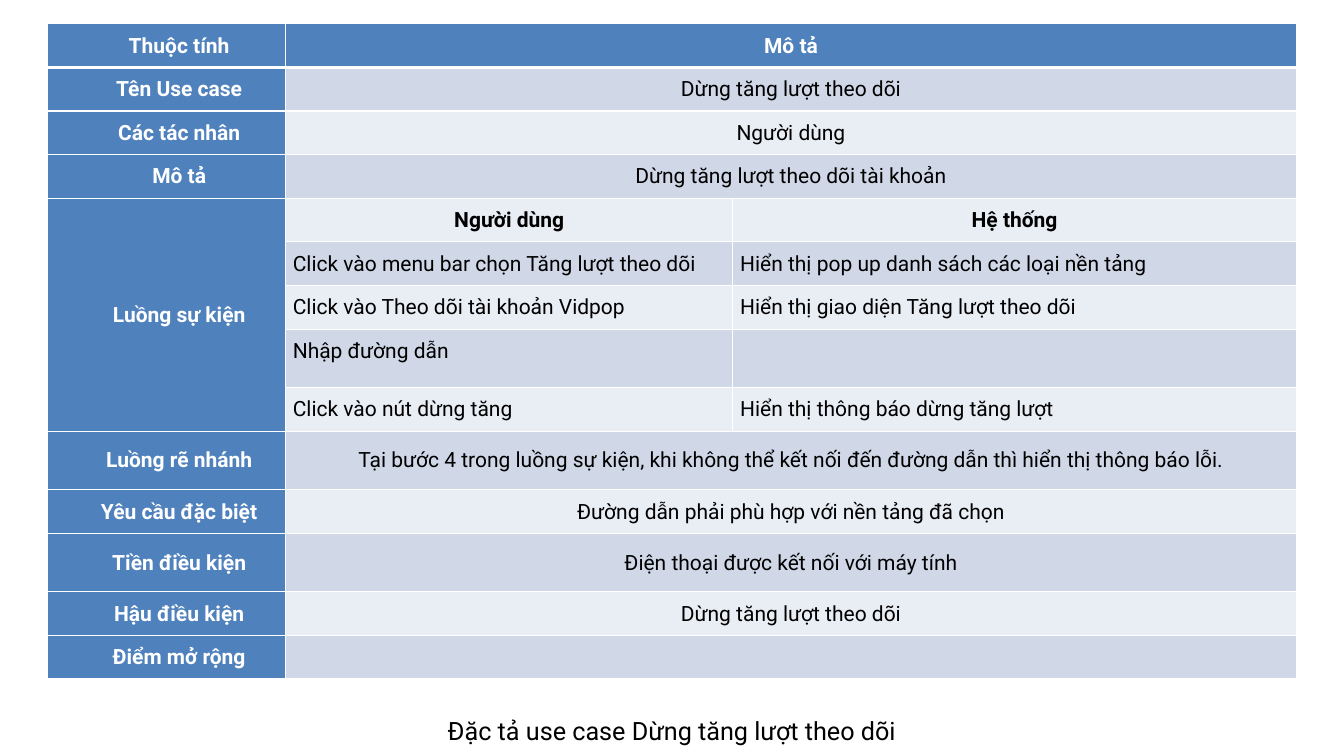
from lxml.etree import SubElement
from pptx import Presentation
from pptx.dml.color import RGBColor
from pptx.enum.text import MSO_ANCHOR, PP_ALIGN
from pptx.oxml.ns import qn
from pptx.util import Pt

WHITE = RGBColor(0xFF, 0xFF, 0xFF)
BLACK = RGBColor(0x00, 0x00, 0x00)
BLUE = RGBColor(0x4F, 0x81, 0xBD)
BAND_DARK = RGBColor(0xD0, 0xD8, 0xE8)
BAND_LIGHT = RGBColor(0xE9, 0xED, 0xF4)

LEFT, WIDTH = 34, 892
COLUMNS = (170, 319.5, 402.5)
ROW, TALL_ROW = 31.1, 41.8
FLOW_FIRST, FLOW_LAST = 4, 8
TALL_ROWS = (7, 9, 11)

# Attribute, description, second description (None: one cell over both columns)
ROWS = [
    ("Thuộc tính", "Mô tả", None),
    ("Tên Use case", "Dừng tăng lượt theo dõi", None),
    ("Các tác nhân", "Người dùng", None),
    ("Mô tả", "Dừng tăng lượt theo dõi tài khoản", None),
    ("Luồng sự kiện", "Người dùng", "Hệ thống"),
    ("", "Click vào menu bar chọn Tăng lượt theo dõi",
     "Hiển thị pop up danh sách các loại nền tảng"),
    ("", "Click vào Theo dõi tài khoản Vidpop", "Hiển thị giao diện Tăng lượt theo dõi"),
    ("", "Nhập đường dẫn", ""),
    ("", "Click vào nút dừng tăng", "Hiển thị thông báo dừng tăng lượt"),
    ("Luồng rẽ nhánh", "Tại bước 4 trong luồng sự kiện, khi không thể kết nối đến "
     "đường dẫn thì hiển thị thông báo lỗi.", None),
    ("Yêu cầu đặc biệt", "Đường dẫn phải phù hợp với nền tảng đã chọn", None),
    ("Tiền điều kiện", "Điện thoại được kết nối với máy tính", None),
    ("Hậu điều kiện", "Dừng tăng lượt theo dõi", None),
    ("Điểm mở rộng", "", None),
]


def write(tf, text, size=15, color=BLACK, bold=False, align=PP_ALIGN.CENTER,
          spacing=1.07, indent=0):
    p = tf.paragraphs[0]
    p.alignment = align
    p.line_spacing = spacing
    if indent:
        p._p.get_or_add_pPr().set("marL", str(Pt(indent)))
    p.font.size = Pt(size)
    if text:
        r = p.add_run()
        r.text = text
        r.font.name = "Roboto"
        r.font.size = Pt(size)
        r.font.bold = bold
        r.font.color.rgb = color


def add_borders(cell, top=1, bottom=1):
    """Draw white lines around a cell; call before setting its fill."""
    tcPr = cell._tc.get_or_add_tcPr()
    for side, width in (("L", 1), ("R", 1), ("T", top), ("B", bottom)):
        ln = SubElement(tcPr, qn(f"a:ln{side}"), w=str(Pt(width)))
        fill = SubElement(ln, qn("a:solidFill"))
        SubElement(fill, qn("a:srgbClr"), val=str(WHITE))


prs = Presentation()
prs.slide_width, prs.slide_height = Pt(960), Pt(540)
slide = prs.slides.add_slide(prs.slide_layouts[6])

heights = [TALL_ROW if i in TALL_ROWS else ROW for i in range(len(ROWS))]
table = slide.shapes.add_table(len(ROWS), len(COLUMNS), Pt(LEFT), Pt(17),
                               Pt(WIDTH), Pt(sum(heights))).table
for column, width in zip(table.columns, COLUMNS):
    column.width = Pt(width)
for row, height in zip(table.rows, heights):
    row.height = Pt(height)

for i, texts in enumerate(ROWS):
    wide = texts[2] is None
    for j, text in enumerate(texts):
        cell = table.cell(i, j)
        heading = i == 0 or j == 0
        add_borders(cell, top=3 if i == 1 else 1, bottom=3 if i == 0 else 1)
        cell.fill.solid()
        cell.fill.fore_color.rgb = BLUE if heading else BAND_DARK if i % 2 else BAND_LIGHT
        cell.margin_left = cell.margin_right = Pt(5.2)
        cell.margin_top, cell.margin_bottom = Pt(5.8), Pt(6.5)
        cell.vertical_anchor = MSO_ANCHOR.MIDDLE if heading or wide else MSO_ANCHOR.TOP
        centered = heading or wide or i == FLOW_FIRST
        write(cell.text_frame, text, color=WHITE if heading else BLACK,
              bold=heading or i == FLOW_FIRST, indent=0 if j else 18,
              align=PP_ALIGN.CENTER if centered else PP_ALIGN.LEFT)
    if wide:
        table.cell(i, 1).merge(table.cell(i, 2))
table.cell(FLOW_FIRST, 0).merge(table.cell(FLOW_LAST, 0))

caption = slide.shapes.add_textbox(Pt(LEFT), Pt(507.6), Pt(WIDTH), Pt(29))
caption.text_frame.word_wrap = True
write(caption.text_frame, "Đặc tả use case Dừng tăng lượt theo dõi", size=18, spacing=1.0)

prs.save("out.pptx")
